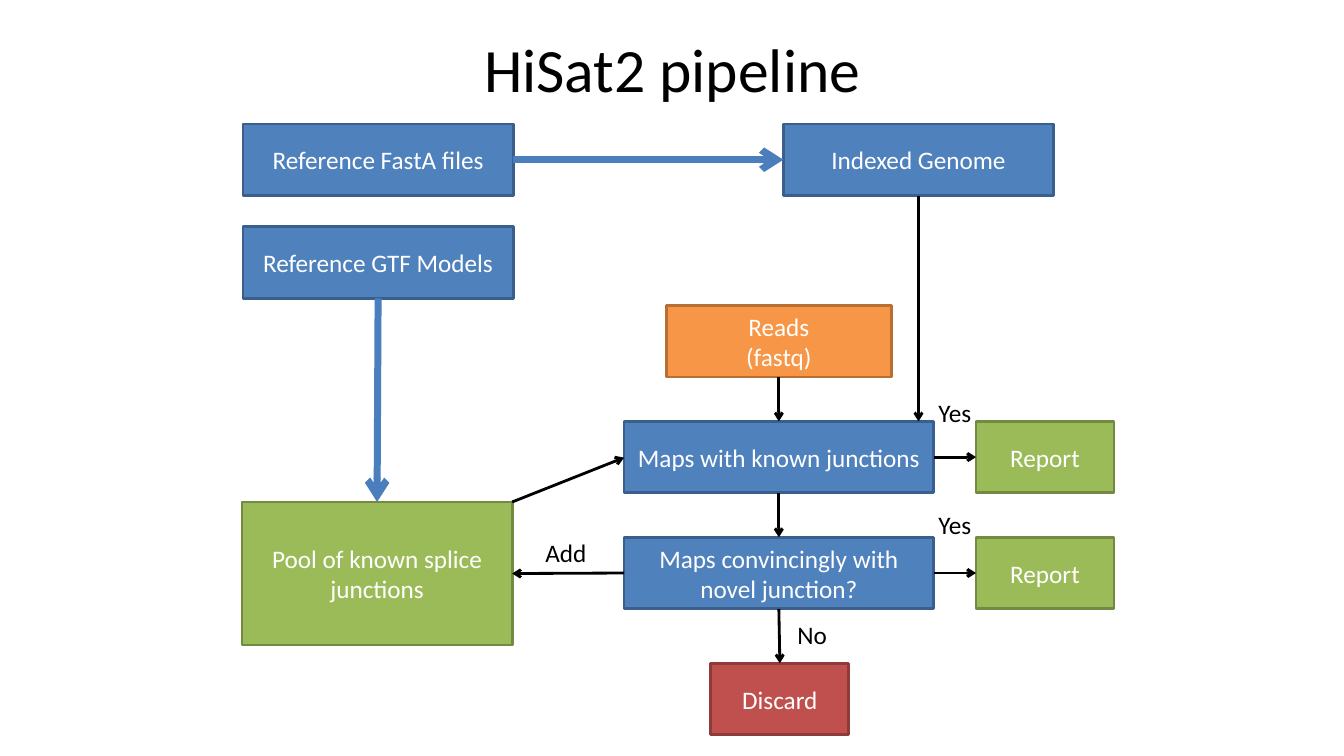
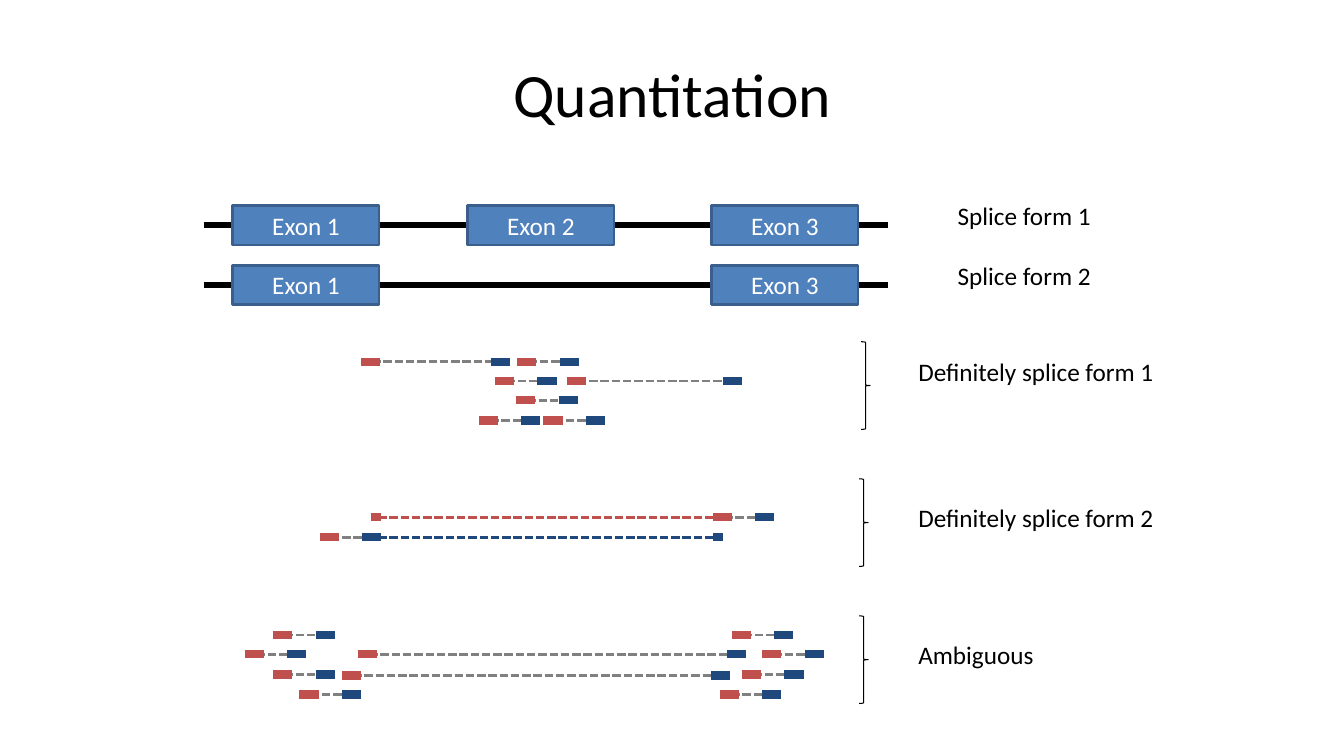
"""Build two slides on spliced read mapping: the pipeline and the quantitation."""
from dataclasses import dataclass

from lxml import etree
from pptx import Presentation
from pptx.dml.color import RGBColor
from pptx.enum.dml import MSO_LINE
from pptx.enum.shapes import MSO_CONNECTOR, MSO_SHAPE
from pptx.enum.text import MSO_ANCHOR, PP_ALIGN
from pptx.oxml.ns import qn
from pptx.util import Inches, Pt


@dataclass(frozen=True)
class Theme:
    font: str = "Calibri"
    title_size: int = 44
    body_size: int = 18
    black: str = "000000"
    white: str = "FFFFFF"
    gray: str = "808080"
    red: str = "C0504D"
    navy: str = "1F497D"
    arrow_blue: str = "4B7EBC"
    blue_box: tuple = ("4F81BD", "3A5F8C")
    green_box: tuple = ("9BBB59", "738A42")
    orange_box: tuple = ("F79646", "B76F34")
    red_box: tuple = ("C0504D", "8E3B39")


T = Theme()
TOP, LEFT, BOTTOM, RIGHT = range(4)
WIDE, MEDIUM, SMALL = 2.68, 3.07, 1.37
ROW_H = 0.71

STEPS = {
    "fasta": ("Reference FastA files", 2.41, 1.23, WIDE, ROW_H, T.blue_box),
    "genome": ("Indexed Genome", 7.77, 1.23, WIDE, ROW_H, T.blue_box),
    "gtf": ("Reference GTF Models", 2.41, 2.25, WIDE, ROW_H, T.blue_box),
    "pool": ("Pool of known splice junctions", 2.4, 4.98, WIDE, 2 * ROW_H, T.green_box),
    "reads": ("Reads\n(fastq)", 6.61, 3.03, 2.23, ROW_H, T.orange_box),
    "known": ("Maps with known junctions", 6.19, 4.18, MEDIUM, ROW_H, T.blue_box),
    "report_known": ("Report", 9.68, 4.18, SMALL, ROW_H, T.green_box),
    "novel": ("Maps convincingly with novel junction?", 6.19, 5.33, MEDIUM, ROW_H, T.blue_box),
    "report_novel": ("Report", 9.68, 5.33, SMALL, ROW_H, T.green_box),
    "discard": ("Discard", 7.05, 6.58, SMALL, ROW_H, T.red_box),
}
INPUT_ARROW = (T.arrow_blue, 5)
FLOW_ARROW = (T.black, 2)
LINKS = [
    ("fasta", RIGHT, "genome", LEFT, INPUT_ARROW),
    ("gtf", BOTTOM, "pool", TOP, INPUT_ARROW),
    ("reads", BOTTOM, "known", TOP, FLOW_ARROW),
    ("known", RIGHT, "report_known", LEFT, FLOW_ARROW),
    ("known", BOTTOM, "novel", TOP, FLOW_ARROW),
    ("novel", RIGHT, "report_novel", LEFT, FLOW_ARROW),
    ("novel", BOTTOM, "discard", TOP, FLOW_ARROW),
    ("novel", LEFT, "pool", RIGHT, FLOW_ARROW),
]
FREE_ARROWS = [(5.08, 4.98, 6.19, 4.54), (9.11, 1.94, 9.11, 4.18)]
ANSWERS = [("Yes", 9.21, 3.89), ("Yes", 9.21, 5), ("Add", 5.31, 5.28), ("No", 7.81, 6.09)]

EXON_X = {1: 2.31, 2: 4.64, 3: 7.06}
EXON_W, EXON_H = 1.45, 0.39
SPLICE_FORMS = [("Splice form 1", 2.04, (1, 2, 3)), ("Splice form 2", 2.63, (1, 3))]

READ_W, PAIR_W = 0.19, 0.61
EVIDENCE = [
    ("Definitely splice form 1", 3.49, 8.54, 3.39),
    ("Definitely splice form 2", 4.93, 8.52, 4.75),
    ("Ambiguous", 6.29, 8.52, 6.11),
]
SHORT_PAIRS = {
    3.59: [5.13],
    3.78: [4.91],
    3.97: [5.12],
    4.17: [5.39, 4.75],
    5.13: [7.07],
    5.33: [3.17],
    6.3: [2.71, 7.26],
    6.49: [2.43, 7.56],
    6.69: [2.71, 7.36],
    6.89: [2.97, 7.14],
}
LONG_PAIRS = [(3.58, 5.06, 3.59), (5.62, 7.36, 3.78), (3.55, 7.4, 6.49), (3.39, 7.24, 6.7)]
SPLIT_READS = [(3.68, 5.13, T.red), (7.07, 5.33, T.navy)]
STUB_W = 0.1
INTRON = (3.75, 7.1)


def rgb(value):
    return RGBColor.from_string(value)


def write(tf, text, size, color, align):
    tf.text = text
    for p in tf.paragraphs:
        p.alignment = align
        for r in p.runs:
            r.font.name, r.font.size = T.font, Pt(size)
            r.font.color.rgb = rgb(color)


def add_label(s, text, x, y):
    sp = s.shapes.add_textbox(Inches(x), Inches(y), Inches(3.16), Inches(0.4))
    sp.text_frame.word_wrap = True
    write(sp.text_frame, text, T.body_size, T.black, PP_ALIGN.LEFT)


def add_box(s, text, x, y, w, h, colors):
    sp = s.shapes.add_shape(MSO_SHAPE.RECTANGLE, Inches(x), Inches(y), Inches(w), Inches(h))
    fill, edge = colors
    sp.shadow.inherit = False
    sp.fill.solid()
    sp.fill.fore_color.rgb = rgb(fill)
    sp.line.color.rgb, sp.line.width = rgb(edge), Pt(2)
    sp.text_frame.vertical_anchor = MSO_ANCHOR.MIDDLE
    write(sp.text_frame, text, T.body_size, T.white, PP_ALIGN.CENTER)
    return sp


def add_brace(s, x, y):
    sp = s.shapes.add_shape(MSO_SHAPE.RIGHT_BRACE, Inches(x), Inches(y), Inches(0.09), Inches(0.87))
    sp.shadow.inherit = False
    sp.fill.background()
    sp.line.color.rgb, sp.line.width = rgb(T.black), Pt(0.75)


def add_line(s, x1, y1, x2, y2, color, width, dashed=False, arrow=False):
    c = s.shapes.add_connector(
        MSO_CONNECTOR.STRAIGHT, Inches(x1), Inches(y1), Inches(x2), Inches(y2))
    c.line.color.rgb, c.line.width = rgb(color), Pt(width)
    if dashed:
        c.line.dash_style = MSO_LINE.SQUARE_DOT
    if arrow:
        etree.SubElement(c.line._get_or_add_ln(), qn("a:tailEnd"), type="arrow")
    etree.SubElement(c._element.spPr, qn("a:effectLst"))
    return c


def add_pair(s, left, right, y):
    add_line(s, left, y, right - 0.08, y, T.gray, 2, dashed=True)
    add_line(s, left, y, left + READ_W, y, T.red, 6)
    add_line(s, right - READ_W, y, right, y, T.navy, 6)


def new_slide(prs, title, x, y, w):
    s = prs.slides.add_slide(prs.slide_layouts[6])
    sp = s.shapes.add_textbox(Inches(x), Inches(y), Inches(w), Inches(1.25))
    sp.text_frame.word_wrap = True
    sp.text_frame.vertical_anchor = MSO_ANCHOR.MIDDLE
    write(sp.text_frame, title, T.title_size, T.black, PP_ALIGN.CENTER)
    return s


def build_pipeline(prs):
    s = new_slide(prs, "HiSat2 pipeline", 2.17, 0.05, 9)
    boxes = {name: add_box(s, *step) for name, step in STEPS.items()}
    for start, start_side, end, end_side, style in LINKS:
        c = add_line(s, 0, 0, 1, 1, *style, arrow=True)
        c.begin_connect(boxes[start], start_side)
        c.end_connect(boxes[end], end_side)
    for points in FREE_ARROWS:
        add_line(s, *points, *FLOW_ARROW, arrow=True)
    for answer in ANSWERS:
        add_label(s, *answer)


def build_quantitation(prs):
    s = new_slide(prs, "Quantitation", 0.67, 0.3, 12)
    for name, y, exons in SPLICE_FORMS:
        middle = y + EXON_H / 2
        add_line(s, 2.02, middle, 8.81, middle, T.black, 4)
        for n in exons:
            add_box(s, f"Exon {n}", EXON_X[n], y, EXON_W, EXON_H, T.blue_box)
        add_label(s, name, 9.4, y - 0.1)
    for name, label_y, brace_x, brace_y in EVIDENCE:
        add_brace(s, brace_x, brace_y)
        add_label(s, name, 9.01, label_y)
    for y, lefts in SHORT_PAIRS.items():
        for left in lefts:
            add_pair(s, left, left + PAIR_W, y)
    for pair in LONG_PAIRS:
        add_pair(s, *pair)
    for left, y, color in SPLIT_READS:
        add_line(s, left, y, left + STUB_W, y, color, 6)
        add_line(s, INTRON[0], y, INTRON[1], y, color, 2, dashed=True)


def main():
    prs = Presentation()
    prs.slide_width, prs.slide_height = Inches(13.33), Inches(7.5)
    build_pipeline(prs)
    build_quantitation(prs)
    prs.save("out.pptx")


if __name__ == "__main__":
    main()
